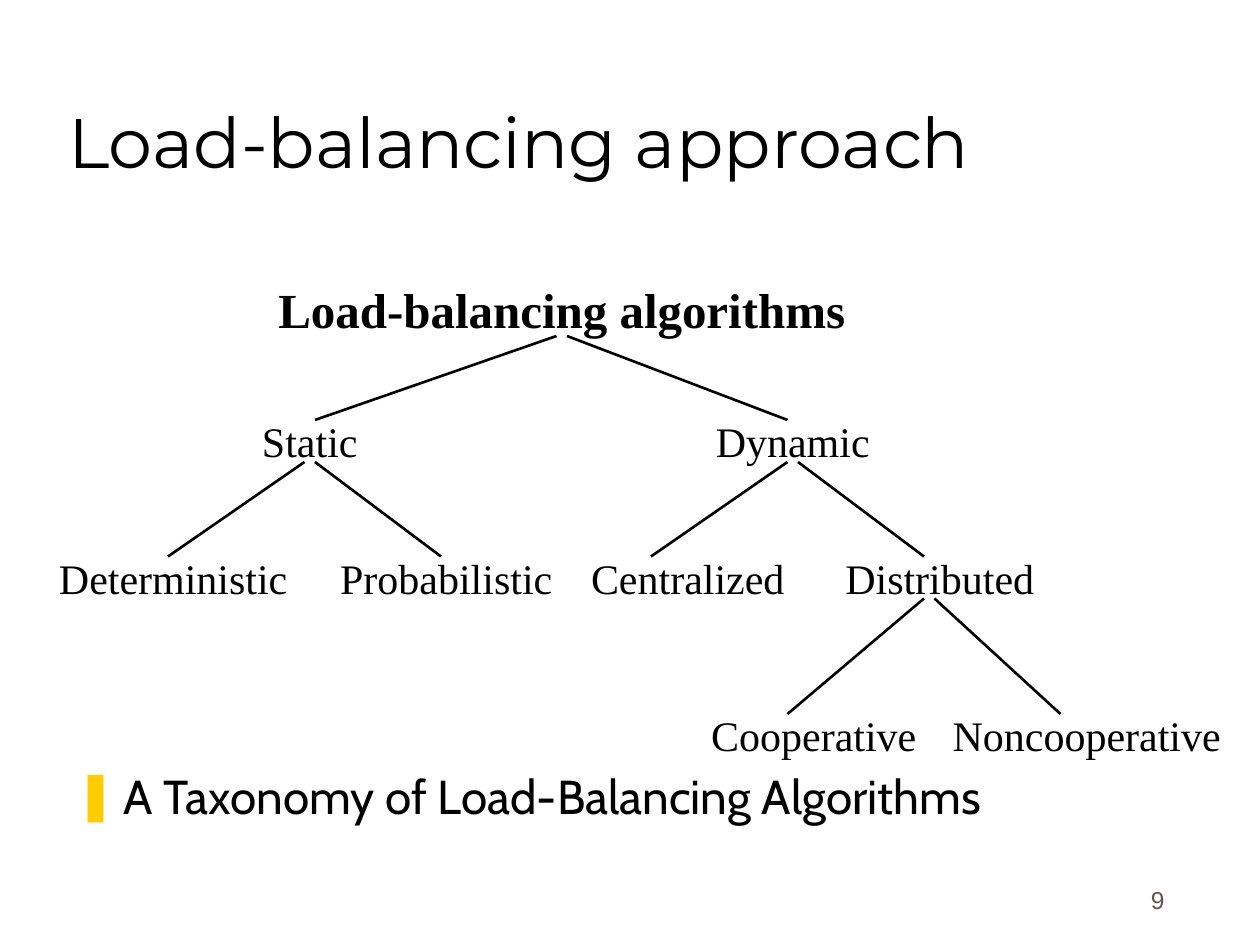
"""Builds the slide on the taxonomy of load-balancing algorithms."""
from lxml import etree
from pptx import Presentation
from pptx.dml.color import RGBColor
from pptx.enum.shapes import MSO_CONNECTOR
from pptx.enum.text import MSO_ANCHOR, MSO_AUTO_SIZE, PP_ALIGN
from pptx.oxml.ns import qn
from pptx.util import Inches, Pt

STRAIGHT = MSO_CONNECTOR.STRAIGHT
BOTTOM, TOP = MSO_ANCHOR.BOTTOM, MSO_ANCHOR.TOP
NO_FIT = MSO_AUTO_SIZE.NONE
LEFT, MID, RIGHT = PP_ALIGN.LEFT, PP_ALIGN.CENTER, PP_ALIGN.RIGHT

COLORS = {"ink": "000000", "mark": "FFCC00", "page": "5E574E"}
UNIT = Inches(1) // 12
SERIF = "Times New Roman"

LEVELS = [
    (39, [("Static", 19, 21), ("Dynamic", 65, 21)]),
    (52, [("Deterministic", 3, 27), ("Probabilistic", 29, 27),
          ("Centralized", 52, 27), ("Distributed", 76, 27)]),
    (67, [("Cooperative", 64, 27), ("Noncooperative", 89, 29)]),
]
FORKS = [
    (53, 32, (30, 75), 40),
    (29, 44, (16, 42), 53),
    (75, 44, (62, 88), 53),
    (88, 57, (75, 101), 68),
]


def grid(*cells):
    """Turn columns and rows into lengths."""
    return [round(cell * UNIT) for cell in cells]


def place(shape, cells):
    """Move a placeholder to its cells."""
    shape.left, shape.top, shape.width, shape.height = grid(*cells)


def write(shape, text, font, size, align=LEFT, anchor=TOP, color="ink", bold=False):
    """Fill a shape with one styled paragraph and return it."""
    frame = shape.text_frame
    frame.text = text
    frame.word_wrap = True
    frame.auto_size = NO_FIT
    frame.vertical_anchor = anchor
    para = frame.paragraphs[0]
    para.alignment = align
    para.space_before = Pt(0)
    style = para.runs[0].font
    style.name, style.size, style.bold = font, Pt(size), bold
    style.color.rgb = RGBColor.from_string(COLORS[color])
    return para


def add_mark(para, indent):
    """Give a paragraph a coloured bar as its bullet."""
    props = para._p.get_or_add_pPr()
    props.set("marL", str(indent))
    props.set("indent", str(-indent))
    tint = etree.SubElement(props, qn("a:buClr"))
    etree.SubElement(tint, qn("a:srgbClr"), val=COLORS["mark"])
    etree.SubElement(props, qn("a:buChar"), char="❚")


def add_node(tree, text, cells, size=24, bold=False):
    """Add a label of the tree."""
    box = tree.shapes.add_textbox(*grid(*cells))
    write(box, text, SERIF, size, MID, bold=bold)


def add_fork(tree, stem, row, tips, end):
    """Add the two branches below a label."""
    for step, tip in enumerate(tips):
        line = tree.shapes.add_connector(STRAIGHT, *grid(tip, end, stem + step, row))
        line.line.width = Pt(1.5)
        line.line.color.rgb = RGBColor.from_string(COLORS["ink"])
        etree.SubElement(line._element.spPr, qn("a:effectLst"))


def add_tree(slide):
    """Add the grouped tree of labels and branches."""
    tree = slide.shapes.add_group_shape()
    add_node(tree, "Load-balancing algorithms", (24, 26, 59, 6.8), 28, True)
    for row, nodes in LEVELS:
        for text, col, width in nodes:
            add_node(tree, text, (col, row, width, 6))
    for fork in FORKS:
        add_fork(tree, *fork)


def main():
    """Build and save the slide."""
    deck = Presentation()
    deck.slide_width, deck.slide_height = Inches(10), Inches(7.5)
    slide = deck.slides.add_slide(deck.slide_layouts[1])

    title, body = slide.placeholders
    place(title, (5.3, 3, 102, 15))
    write(title, "Load-balancing approach", "Montserrat", 40, anchor=BOTTOM)

    place(body, (6, 24.7, 107.3, 54.7))
    para = write(body, "A Taxonomy of Load-Balancing Algorithms", "Cabin", 27.2,
                 anchor=BOTTOM)
    add_mark(para, Inches(0.38))
    body.text_frame.margin_bottom = Inches(0.08)

    add_tree(slide)

    page = slide.shapes.add_textbox(*grid(88.3, 81.7, 25, 6))
    write(page, "9", "Arial", 14, RIGHT, BOTTOM, "page")
    page.text_frame.margin_right = Inches(0.2)

    deck.save("out.pptx")


if __name__ == "__main__":
    main()
